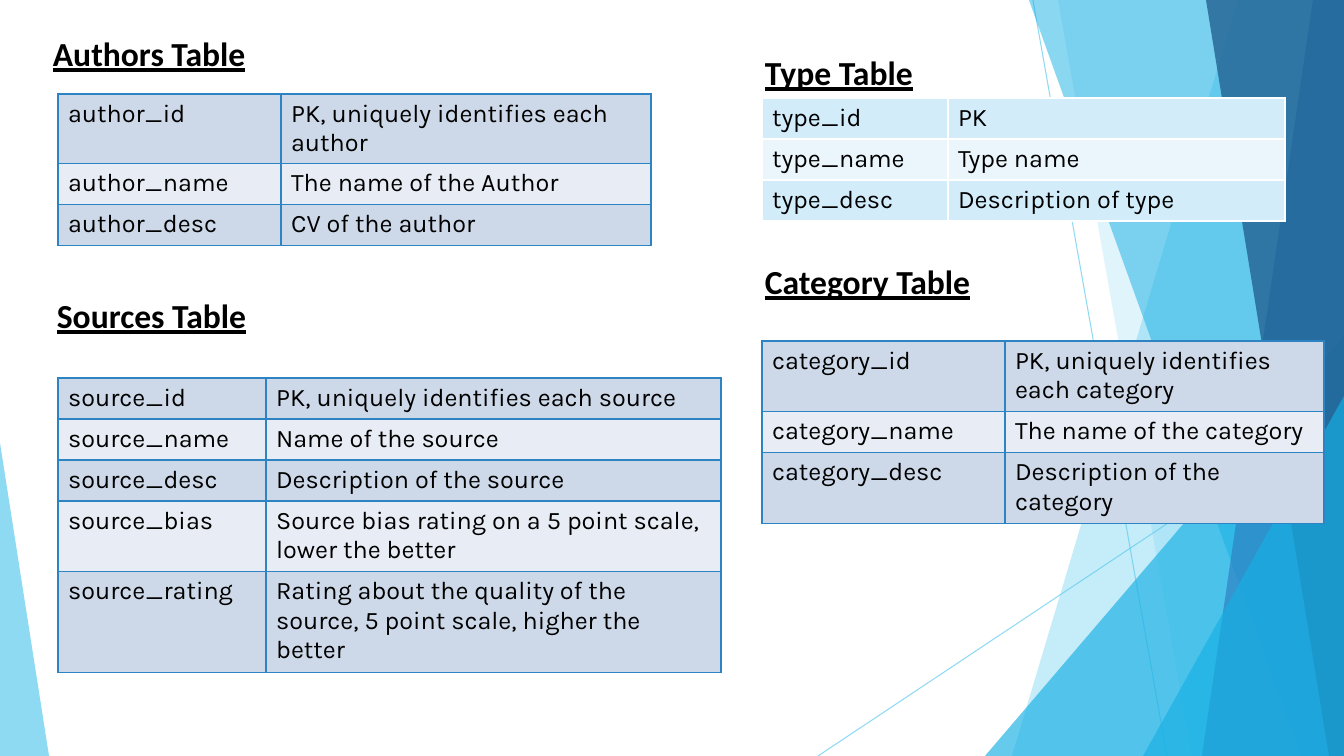
from dataclasses import dataclass

from lxml.etree import SubElement
from pptx import Presentation
from pptx.dml.color import RGBColor
from pptx.enum.shapes import MSO_CONNECTOR as Connector, MSO_SHAPE as Shape
from pptx.enum.text import MSO_AUTO_SIZE as AutoSize
from pptx.oxml.ns import qn
from pptx.util import Pt

# Content: heading place and size, table place, height and column widths, rows
SECTIONS = [
    {"heading": "Authors Table", "heading_box": (43, 28, 215, 50),
     "corner": (58, 94), "height": 152, "columns": (223, 370), "look": "bordered",
     "rows": [("author_id", "PK, uniquely identifies each author"),
              ("author_name", "The name of the Author"),
              ("author_desc", "CV of the author")]},
    {"heading": "Category Table", "heading_box": (755, 256, 228, 50),
     "corner": (762, 341), "height": 182, "columns": (243, 319), "look": "bordered",
     "rows": [("category_id", "PK, uniquely identifies each category"),
              ("category_name", "The name of the category"),
              ("category_desc", "Description of the category")]},
    {"heading": "Sources Table", "heading_box": (47, 290, 212, 50),
     "corner": (58, 378), "height": 294, "columns": (208, 455), "look": "bordered",
     "rows": [("source_id", "PK, uniquely identifies each source"),
              ("source_name", "Name of the source"),
              ("source_desc", "Description of the source"),
              ("source_bias", "Source bias rating on a 5 point scale, lower the better"),
              ("source_rating", "Rating about the quality of the source, "
                                "5 point scale, higher the better")]},
    {"heading": "Type Table", "heading_box": (755, 47, 169, 50),
     "corner": (762, 98), "height": 122, "columns": (186, 337), "look": "plain",
     "rows": [("type_id", "PK"),
              ("type_name", "Type name"),
              ("type_desc", "Description of type")]},
]

# Backdrop: rays run between two points. Panels reach the right edge and have
# a left edge from top x to bottom x. Triangles have a box and an apex ratio.
RAYS = [(1033, 0, 1167, 756), (1344, 406, 818, 756)]
FACETS = [
    ("panel", (1238, 1012), "sky", 36),
    ("panel", (1058, 1192), "sky", 20),
    ("triangle", (985, 336, 359, 420, 1), "azure", 66),
    ("panel", (1029, 1301), "azure", 50),
    ("panel", (1313, 1202), "blue", 70),
    ("panel", (1206, 1329), "navy", 80),
    ("triangle", (1143, 396, 201, 360, 1), "azure", 66),
    ("triangle", (0, 443, 49, 313, 0), "sky", 70),
]


@dataclass(frozen=True)
class Theme:
    sky: str = "5FCBEF"
    azure: str = "17B0E4"
    blue: str = "2E83C3"
    navy: str = "226292"
    ink: str = "000000"
    bordered: tuple = ("2E83C3", "CDD9E9", "E8EDF5")  # border, odd and even rows
    plain: tuple = ("FFFFFF", "D2ECF9", "EAF6FC")
    border_width: int = Pt(1)
    ray_width: int = Pt(0.75)
    ray_opacity: int = 70


THEME = Theme()
HEADING_FORMAT = {"name": "Calibri", "size": Pt(24), "bold": True, "underline": True}
CELL_FORMAT = {"name": "Karla", "size": Pt(18), "bold": False}
SLIDE_WIDTH, SLIDE_HEIGHT, ROW_HEIGHT = 1344, 756, 41
EMU_PER_PX = 12192000 / SLIDE_WIDTH


def px(*lengths):
    return [round(length * EMU_PER_PX) for length in lengths]


def set_opacity(item, percent):
    for color in item._element.iter(qn("a:srgbClr")):
        SubElement(color, qn("a:alpha"), val=str(percent * 1000))


def write(frame, wording, formatting):
    run = frame.paragraphs[0].add_run()
    run.text = wording
    run.font.color.rgb = RGBColor.from_string(THEME.ink)
    for attribute, value in formatting.items():
        setattr(run.font, attribute, value)


def add_ray(slide, ends):
    ray = slide.shapes.add_connector(Connector.STRAIGHT, *px(*ends))
    ray.line.color.rgb = RGBColor.from_string(THEME.sky)
    ray.line.width = THEME.ray_width
    set_opacity(ray, THEME.ray_opacity)
    SubElement(ray._element.spPr, qn("a:effectLst"))


def add_facet(slide, kind, geometry, color, opacity):
    if kind == "panel":
        top, bottom = geometry
        outline = slide.shapes.build_freeform(top, 0, scale=EMU_PER_PX)
        outline.add_line_segments([(SLIDE_WIDTH, 0), (SLIDE_WIDTH, SLIDE_HEIGHT),
                                   (bottom, SLIDE_HEIGHT)], close=True)
        facet = outline.convert_to_shape()
    else:
        *box, apex = geometry
        facet = slide.shapes.add_shape(Shape.ISOSCELES_TRIANGLE, *px(*box))
        facet.adjustments[0] = apex
    facet.fill.solid()
    facet.fill.fore_color.rgb = RGBColor.from_string(getattr(THEME, color))
    set_opacity(facet, opacity)
    facet.line.fill.background()
    facet.shadow.inherit = False


def add_borders(cell, color):
    properties = cell._tc.get_or_add_tcPr()
    for side in ("lnL", "lnR", "lnT", "lnB"):
        border = SubElement(properties, qn(f"a:{side}"), w=str(THEME.border_width))
        SubElement(SubElement(border, qn("a:solidFill")), qn("a:srgbClr"), val=color)


def add_heading(slide, wording, box):
    heading = slide.shapes.add_textbox(*px(*box)).text_frame
    heading.word_wrap = False
    heading.auto_size = AutoSize.SHAPE_TO_FIT_TEXT
    write(heading, wording, HEADING_FORMAT)


def add_fields(slide, rows, corner, height, columns, look):
    """Add the table that lists each field with its description."""
    border, *bands = getattr(THEME, look)
    holder = slide.shapes.add_table(len(rows), len(columns),
                                    *px(*corner, sum(columns), height))
    fields = holder.table
    fields.first_row = fields.horz_banding = False
    for column, width in zip(fields.columns, px(*columns)):
        column.width = width
    for index, (row, entries) in enumerate(zip(fields.rows, rows)):
        row.height, = px(ROW_HEIGHT)
        for cell, entry in zip(row.cells, entries):
            add_borders(cell, border)
            cell.fill.solid()
            cell.fill.fore_color.rgb = RGBColor.from_string(bands[index % 2])
            write(cell.text_frame, entry, CELL_FORMAT)
    holder.height, = px(height)  # wrapped rows grow beyond ROW_HEIGHT


def main():
    deck = Presentation()
    deck.slide_width, deck.slide_height = px(SLIDE_WIDTH, SLIDE_HEIGHT)
    slide = deck.slides.add_slide(deck.slide_layouts[6])
    for ends in RAYS:
        add_ray(slide, ends)
    for facet in FACETS:
        add_facet(slide, *facet)
    for section in SECTIONS:
        add_fields(slide, section["rows"], section["corner"], section["height"],
                   section["columns"], section["look"])
        add_heading(slide, section["heading"], section["heading_box"])
    deck.save("out.pptx")


if __name__ == "__main__":
    main()
